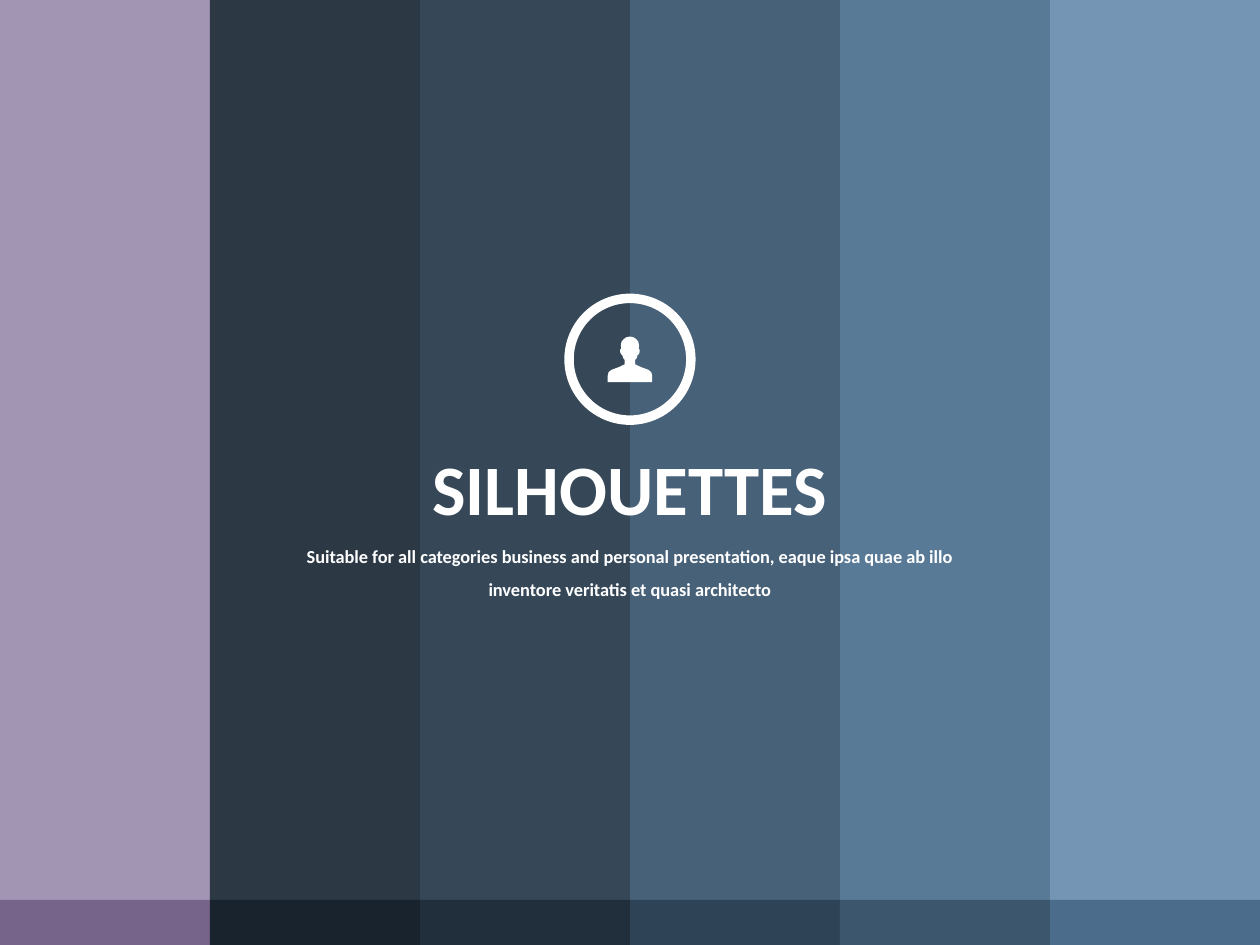
from pptx import Presentation
from pptx.dml.color import RGBColor as RGB
from pptx.enum.shapes import MSO_SHAPE as SHAPE
from pptx.enum.text import MSO_ANCHOR as ANCHOR, MSO_AUTO_SIZE as FIT, PP_ALIGN as ALIGN
from pptx.oxml.ns import qn
from pptx.util import Pt
from lxml.etree import SubElement

WHITE = RGB(0xFF, 0xFF, 0xFF)
# (main strip, footer strip), left to right
STRIPS = [
    (RGB(0x9E, 0x90, 0xAF), RGB(0x76, 0x64, 0x8B)),
    (RGB(0x21, 0x2F, 0x3C), RGB(0x19, 0x23, 0x2D)),
    (RGB(0x2C, 0x3F, 0x50), RGB(0x21, 0x2F, 0x3C)),
    (RGB(0x3E, 0x59, 0x72), RGB(0x2E, 0x43, 0x56)),
    (RGB(0x50, 0x73, 0x92), RGB(0x3C, 0x56, 0x6E)),
    (RGB(0x6D, 0x90, 0xAF), RGB(0x4B, 0x6C, 0x8A)),
]
TITLE = "SILHOUETTES"
INTRO = ("Suitable for all categories business and personal presentation, "
         "eaque ipsa quae ab illo inventore veritatis et quasi architecto")
# Right half of the bust, from crown to base, in tenths of a point
BUST = [(0, 0), (20, 4), (36, 15), (48, 30), (52, 50), (50, 70), (56, 74),
        (56, 88), (50, 102), (44, 106), (39, 122), (30, 134), (30, 159),
        (64, 175), (105, 190), (122, 204), (127, 224), (127, 260)]

WIDE, HIGH = 720, 540
SPLIT = 514.2
RING, BAND = 75, 5.4
RING_TOP, BUST_TOP = 167.8, 192.3


def paint(shape, color, alpha=None):
    shape.shadow.inherit = False
    shape.fill.solid()
    shape.fill.fore_color.rgb = color
    shape.line.fill.background()
    if alpha:
        tone = shape.fill._xPr.find(qn("a:solidFill"))[0]
        SubElement(tone, qn("a:alpha"), val=str(alpha * 1000))


def add(kind, left, top, wide, high):
    return slide.shapes.add_shape(kind, Pt(left), Pt(top), Pt(wide), Pt(high))


def write(holder, text, size, top, wide, high, spacing=1.0, wrap=True):
    """Fill a placeholder, centre it on the slide and bring it to the front."""
    holder.left, holder.top = Pt((WIDE - wide) / 2), Pt(top)
    holder.width, holder.height = Pt(wide), Pt(high)
    slide.shapes._spTree.append(holder._element)
    frame = holder.text_frame
    frame.text = text
    frame.word_wrap = wrap
    frame.auto_size = FIT.NONE
    frame.vertical_anchor = ANCHOR.TOP
    para = frame.paragraphs[0]
    para.alignment = ALIGN.CENTER
    para.line_spacing = spacing
    para.space_before = Pt(0)
    font = para.font
    font.name, font.size, font.bold = "Calibri", Pt(size), True
    font.color.rgb = WHITE


deck = Presentation()
deck.slide_width, deck.slide_height = Pt(WIDE), Pt(HIGH)
slide = deck.slides.add_slide(deck.slide_layouts[0])

step = WIDE / len(STRIPS)
for i, (main, foot) in enumerate(STRIPS):
    paint(add(SHAPE.RECTANGLE, i * step, 0, step, SPLIT), main, 95)
    paint(add(SHAPE.RECTANGLE, i * step, SPLIT, step, HIGH - SPLIT), foot)

write(slide.shapes.title, TITLE, 40.5, 250.6, 242, 56, wrap=False)
write(slide.placeholders[1], INTRO, 10.5, 301.7, 404.6, 45.4, spacing=1.5)

ring = add(SHAPE.DONUT, (WIDE - RING) / 2, RING_TOP, RING, RING)
ring.adjustments[0] = BAND / RING
paint(ring, WHITE)

left_half = [(-x, y) for x, y in reversed(BUST[1:])]
pen = slide.shapes.build_freeform(*BUST[0], scale=Pt(1) / 10)
pen.add_line_segments(BUST[1:] + left_half, close=True)
paint(pen.convert_to_shape(Pt(WIDE / 2), Pt(BUST_TOP)), WHITE)

deck.save("out.pptx")
